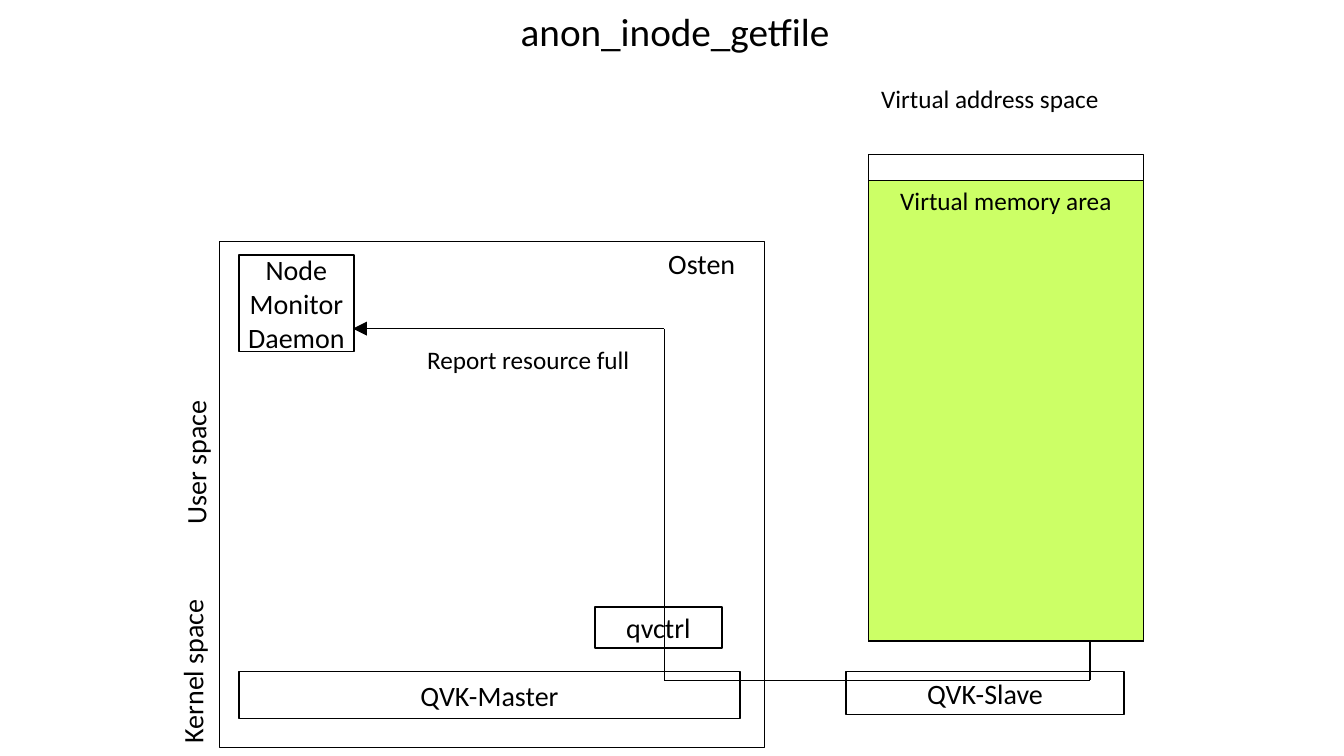
import pptx
import pptx.dml.color
import pptx.enum.shapes
import pptx.enum.text
import pptx.oxml
import pptx.oxml.ns
import pptx.util
from pptx.util import Inches, Pt

COLORS = {"black": "000000", "white": "FFFFFF", "green": "CCFF66"}
ALIGN = pptx.enum.text.PP_ALIGN
ANCHOR = pptx.enum.text.MSO_ANCHOR


def rgb(name):
    """Return the named colour."""
    return pptx.dml.color.RGBColor.from_string(COLORS[name])


def add_xml(parent, tag, **attributes):
    """Append a DrawingML element and return it."""
    element = pptx.oxml.parse_xml(f"<a:{tag} {pptx.oxml.ns.nsdecls('a')}/>")
    for key, value in attributes.items():
        element.set(key, value)
    parent.append(element)
    return element


def write_text(sp, text, size=20, align=ALIGN.CENTER, anchor=ANCHOR.TOP, wrap=True):
    """Write one formatted paragraph into a shape."""
    tf = sp.text_frame
    tf.word_wrap = wrap
    tf.vertical_anchor = anchor
    p = tf.paragraphs[0]
    p.text = text
    p.alignment = align
    for r in p.runs:
        r.font.name = "Calibri"
        r.font.size = Pt(size)
        r.font.color.rgb = rgb("black")


def place(sp, x, y, w, h):
    """Set the position and size of a shape."""
    sp.left, sp.top, sp.width, sp.height = map(Inches, (x, y, w, h))


def add_title(s, text):
    """Fill the title placeholder."""
    place(s.shapes.title, 1.72, 0.01, 9.95, 0.59)
    write_text(s.shapes.title, text, size=28, anchor=ANCHOR.MIDDLE)


def add_rect(s, x, y, w, h, fill=None, line=0.75, alpha=None):
    """Add a rectangle with an optional fill and outline."""
    sp = s.shapes.add_shape(pptx.enum.shapes.MSO_SHAPE.RECTANGLE,
                            Inches(x), Inches(y), Inches(w), Inches(h))
    sp.shadow.inherit = False
    if fill:
        sp.fill.solid()
        sp.fill.fore_color.rgb = rgb(fill)
    else:
        sp.fill.background()
    if alpha:
        color = sp._element.spPr.find(".//" + pptx.oxml.ns.qn("a:srgbClr"))
        add_xml(color, "alpha", val=str(alpha * 1000))
    if line:
        sp.line.color.rgb = rgb("black")
        sp.line.width = Pt(line)
    else:
        sp.line.fill.background()
    return sp


def add_component(s, text, x, y, w, h):
    """Add a white box naming a software component."""
    sp = add_rect(s, x, y, w, h, fill="white", line=1)
    tf = sp.text_frame
    tf.margin_left = tf.margin_right = Inches(0.09)
    tf.margin_top = tf.margin_bottom = Inches(0.04)
    write_text(sp, text, anchor=ANCHOR.MIDDLE, wrap=False)


def add_label(s, text, x, y, w, h, rotation=0, **text_format):
    """Add a free text label."""
    sp = s.shapes.add_textbox(Inches(x), Inches(y), Inches(w), Inches(h))
    sp.rotation = rotation
    write_text(sp, text, **text_format)


def add_line(s, start, end, arrow=False):
    """Add a straight line, with an arrowhead at its end on request."""
    c = s.shapes.add_connector(pptx.enum.shapes.MSO_CONNECTOR.STRAIGHT,
                               *map(Inches, start + end))
    c.line.color.rgb = rgb("black")
    c.line.width = Pt(1)
    if arrow:
        add_xml(c.line._get_or_add_ln(), "tailEnd", type="triangle", w="lg", len="lg")
    add_xml(c._element.spPr, "effectLst")


def main():
    """Build the slide and save it."""
    prs = pptx.Presentation()
    prs.slide_width, prs.slide_height = Inches(13.33), Inches(7.5)
    s = prs.slides.add_slide(prs.slide_layouts[5])
    add_title(s, "anon_inode_getfile")

    add_component(s, "QVK-Slave", 8.39, 6.66, 2.76, 0.43)
    add_rect(s, 2.18, 2.4, 5.4, 5.02)
    add_label(s, "Osten", 6.34, 2.4, 1.24, 0.44)
    add_component(s, "QVK-Master", 2.37, 6.66, 4.97, 0.47)
    add_component(s, "Node\nMonitor\nDaemon", 2.37, 2.53, 1.14, 0.96)
    add_component(s, "qvctrl", 5.9, 6.02, 1.26, 0.41)
    add_label(s, "User space", 1.12, 4.37, 1.64, 0.44, rotation=270)
    add_label(s, "Kernel space", 1.07, 6.44, 1.68, 0.44, rotation=270)

    report = add_rect(s, 3.89, 3.37, 2.7, 0.4, fill="white", line=None, alpha=70)
    write_text(report, "Report resource full", size=18)
    route = [(10.81, 5.41), (10.81, 6.75), (6.59, 6.75), (6.59, 3.26), (3.5, 3.26)]
    for start, end in zip(route, route[1:]):
        add_line(s, start, end, arrow=end == route[-1])

    add_rect(s, 8.61, 1.79, 2.73, 4.57, fill="green")
    add_rect(s, 8.61, 1.53, 2.73, 4.83)
    add_label(s, "Virtual memory area", 8.83, 1.79, 2.32, 0.4,
              size=18, align=ALIGN.LEFT, wrap=False)
    add_label(s, "Virtual address space", 8.64, 0.78, 2.38, 0.4,
              size=18, align=ALIGN.LEFT, wrap=False)
    prs.save("out.pptx")


if __name__ == "__main__":
    main()
